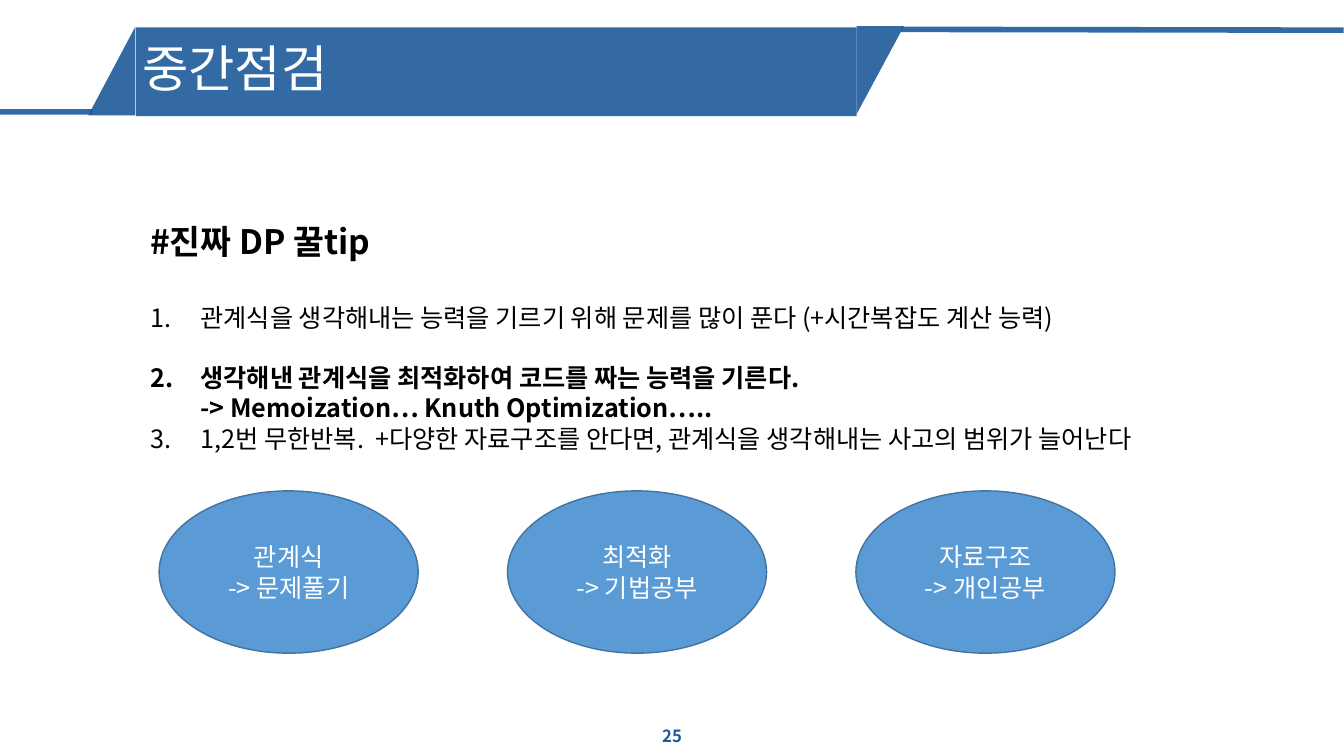
from lxml import etree
from pptx import Presentation
from pptx.dml.color import RGBColor
from pptx.enum.shapes import MSO_CONNECTOR, MSO_SHAPE
from pptx.enum.text import MSO_ANCHOR, MSO_AUTO_SIZE, PP_ALIGN
from pptx.oxml.ns import qn
from pptx.util import Cm, Pt

RECT, TRIANGLE, OVAL = MSO_SHAPE.RECTANGLE, MSO_SHAPE.RIGHT_TRIANGLE, MSO_SHAPE.OVAL
STRAIGHT = MSO_CONNECTOR.STRAIGHT
LEFT, CENTER = PP_ALIGN.LEFT, PP_ALIGN.CENTER
MIDDLE, TOP = MSO_ANCHOR.MIDDLE, MSO_ANCHOR.TOP
NO_FIT = MSO_AUTO_SIZE.NONE
FONT = "Noto Sans CJK KR"
NAVY, SKY, EDGE, WHITE, BLACK = "1E5A9B", "5B9BD5", "43739E", "FFFFFF", "000000"

TIPS = [
    ("관계식을 생각해내는 능력을 기르기 위해 문제를 많이 푼다 (+시간복잡도 계산 능력)", True, False, 29),
    ("생각해낸 관계식을 최적화하여 코드를 짜는 능력을 기른다.", True, True, 21.6),
    ("-> Memoization… Knuth Optimization…..", False, True, 0),
    ("1,2번 무한반복.  +다양한 자료구조를 안다면, 관계식을 생각해내는 사고의 범위가 늘어난다", True, False, 0),
]
STEPS = ["관계식\n-> 문제풀기", "최적화\n-> 기법공부", "자료구조\n-> 개인공부"]


def rgb(color):
    return RGBColor.from_string(color)


def place(shape, x, y, w, h):
    shape.left, shape.top, shape.width, shape.height = Cm(x), Cm(y), Cm(w), Cm(h)


def soften(fill_parent):
    color = next(fill_parent.iter(qn("a:srgbClr")))
    etree.SubElement(color, qn("a:alpha"), val="90000")


def style(p, size, color, bold=False, align=LEFT, before=0, spacing=1.0):
    p.alignment, p.line_spacing = align, spacing
    p.space_before, p.space_after = Pt(before), Pt(0)
    for r in p.runs:
        r.font.name, r.font.size, r.font.bold = FONT, Pt(size), bold
        r.font.color.rgb = rgb(color)
        etree.SubElement(r.font._element, qn("a:ea"), typeface=FONT)


def set_bullet(p, numbered):
    pPr = p._p.get_or_add_pPr()
    pPr.set("marL", str(Cm(1.27)))
    pPr.set("indent", str(Cm(-1.27) if numbered else 0))
    if numbered:
        etree.SubElement(pPr, qn("a:buFont"), typeface="+mj-lt")
        etree.SubElement(pPr, qn("a:buAutoNum"), type="arabicPeriod")
    else:
        etree.SubElement(pPr, qn("a:buNone"))


def add_banner_part(s, kind, x, y, w, h, rotation=0):
    sp = s.shapes.add_shape(kind, Cm(x), Cm(y), Cm(w), Cm(h))
    sp.shadow.inherit = False
    sp.rotation = rotation
    sp.fill.solid()
    sp.fill.fore_color.rgb = rgb(NAVY)
    soften(sp.element.spPr)
    sp.line.fill.background()


def add_rule(s, x1, y1, x2, y2):
    line = s.shapes.add_connector(STRAIGHT, Cm(x1), Cm(y1), Cm(x2), Cm(y2))
    line.line.color.rgb = rgb(NAVY)
    line.line.width = Pt(4)
    soften(line.element.spPr)
    etree.SubElement(line.element.spPr, qn("a:effectLst"))


def add_banner(s):
    add_banner_part(s, TRIANGLE, 21.08, 1.17, 2.21, 1.19, 90)
    add_rule(s, 2.34, 2.82, -0.08, 2.82)
    add_banner_part(s, TRIANGLE, 1.7, 1.19, 2.24, 1.19, 270)
    add_rule(s, 33.86, 0.76, 22.71, 0.74)
    add_banner_part(s, RECT, 3.43, 0.69, 18.16, 2.24)


def set_title(s, text):
    title = s.shapes.title
    s.shapes.element.append(title.element)
    place(title, 3.33, 0.76, 18.16, 2.06)
    tf = title.text_frame
    tf.text = text
    tf.auto_size, tf.vertical_anchor = NO_FIT, MIDDLE
    style(tf.paragraphs[0], 36, WHITE, spacing=0.9)


def set_tips(s, heading, tips):
    body = s.placeholders[1]
    place(body, 3.53, 5.44, 28.17, 7.7)
    tf = body.text_frame
    tf.text = heading
    tf.auto_size, tf.vertical_anchor = NO_FIT, TOP
    p = tf.paragraphs[0]
    style(p, 24, BLACK, True)
    pPr = p._p.get_or_add_pPr()
    pPr.set("marL", "0")
    pPr.set("indent", "0")
    etree.SubElement(pPr, qn("a:buNone"))
    for text, numbered, bold, before in tips:
        p = tf.add_paragraph()
        p.text = text
        p.level = 0 if numbered else 1
        style(p, 18, BLACK, bold, before=before)
        set_bullet(p, numbered)


def add_page_number(s, text):
    box = s.shapes.add_textbox(Cm(13.13), Cm(18.03), Cm(7.62), Cm(1.02))
    tf = box.text_frame
    tf.word_wrap, tf.vertical_anchor = True, MIDDLE
    tf.text = text
    style(tf.paragraphs[0], 12, NAVY, True, CENTER)


def add_step(s, x, text):
    sp = s.shapes.add_shape(OVAL, Cm(x), Cm(12.37), Cm(6.53), Cm(4.09))
    sp.shadow.inherit = False
    sp.fill.solid()
    sp.fill.fore_color.rgb = rgb(SKY)
    sp.line.color.rgb = rgb(EDGE)
    sp.line.width = Pt(1)
    tf = sp.text_frame
    tf.text = text
    tf.vertical_anchor = MIDDLE
    for p in tf.paragraphs:
        style(p, 18, WHITE, align=CENTER)


def main():
    prs = Presentation()
    prs.slide_width, prs.slide_height = Cm(33.87), Cm(19.05)
    s = prs.slides.add_slide(prs.slide_layouts[1])
    add_banner(s)
    set_title(s, "중간점검")
    set_tips(s, "#진짜 DP 꿀tip", TIPS)
    add_page_number(s, "25")
    for i, text in enumerate(STEPS):
        add_step(s, 4.01 + i * 8.78, text)
    prs.save("out.pptx")


if __name__ == "__main__":
    main()
